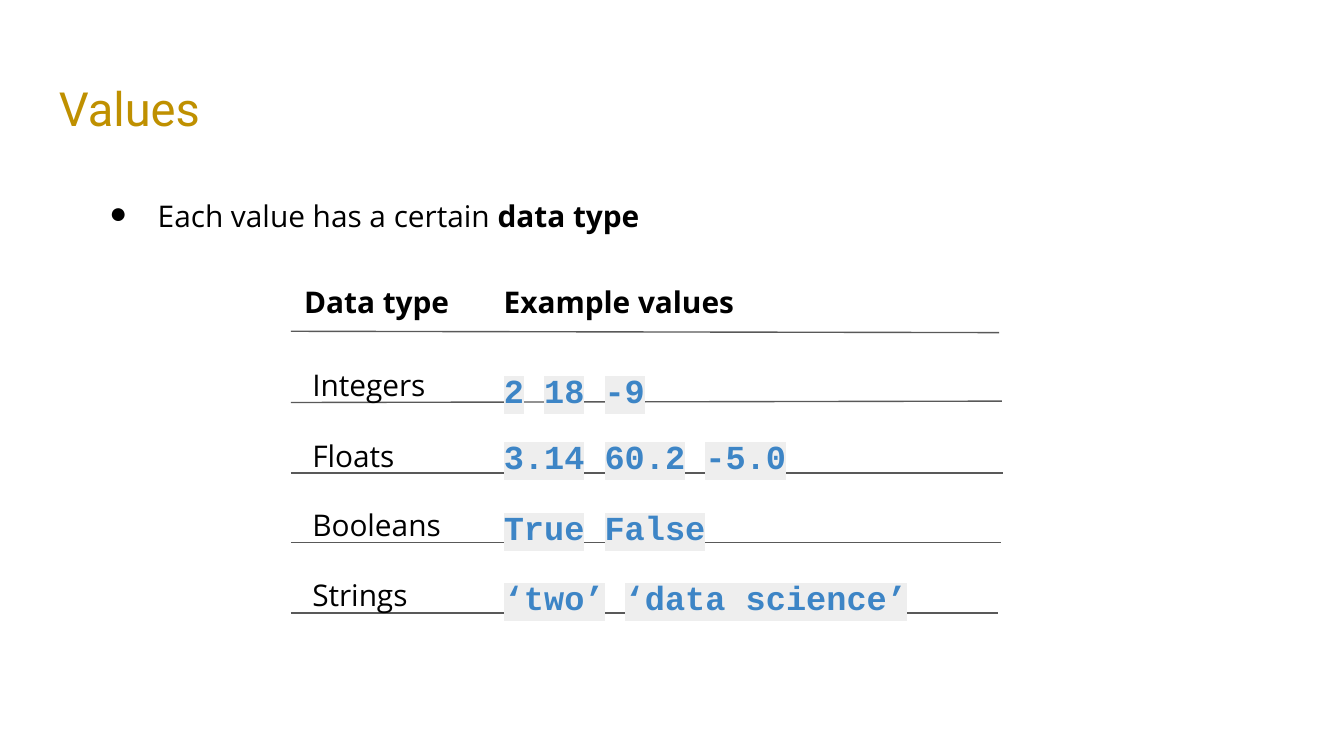
from dataclasses import dataclass

import pptx
import pptx.dml.color
import pptx.enum.shapes
import pptx.enum.text
import pptx.oxml
import pptx.oxml.ns
import pptx.util
from lxml import etree

PX = 4572  # EMU per px, 200 px to the inch
COLORS = {
    "title": "BF9000",
    "text": "000000",
    "code": "3D85C6",
    "highlight": "EEEEEE",
    "rule": "595959",
}


@dataclass(frozen=True)
class Style:
    font: str
    size: float
    color: str
    bold: bool = False
    highlight: bool = False


@dataclass(frozen=True)
class Box:
    left: int
    top: int
    width: int
    height: int


@dataclass(frozen=True)
class DataType:
    name: str
    name_top: int
    examples: tuple[str, ...]
    examples_top: int
    examples_width: int


@dataclass(frozen=True)
class Rule:
    start_y: int
    end_x: int
    end_y: int


TITLE = Style("Roboto", 25.2, "title")
BODY = Style("Open Sans", 16, "text")
BOLD = Style("Open Sans", 16, "text", bold=True)
CODE = Style("Courier New", 18, "code", bold=True, highlight=True)
CODE_GAP = Style("Courier New", 18, "code", bold=True)

TABLE_LEFT, NAME_LEFT, EXAMPLES_LEFT = 433, 445, 730
HEADER_TOP, NAME_WIDTH, NAME_HEIGHT, EXAMPLES_HEIGHT = 376, 296, 94, 100

DATA_TYPES = [
    DataType("Integers", 499, ("2", "18", "-9"), 501, 296),
    DataType("Floats", 605, ("3.14", "60.2", "-5.0"), 599, 484),
    DataType("Booleans", 708, ("True", "False"), 705, 402),
    DataType("Strings", 812, ("‘two’", "‘data science’"), 809, 656),
]
RULES = [
    Rule(493, 1487, 495),
    Rule(599, 1491, 597),
    Rule(704, 1493, 704),
    Rule(807, 1490, 807),
    Rule(912, 1485, 912),
]


def rgb(name: str) -> pptx.dml.color.RGBColor:
    return pptx.dml.color.RGBColor.from_string(COLORS[name])


def add_run(paragraph, text: str, style: Style) -> None:
    run = paragraph.add_run()
    run.text = text
    font = run.font
    font.size = pptx.util.Pt(style.size)
    font.bold = style.bold
    font.color.rgb = rgb(style.color)
    font.name = style.font
    if style.highlight:
        # The highlight must follow the text fill
        properties = run._r.get_or_add_rPr()
        highlight = etree.Element(pptx.oxml.ns.qn("a:highlight"))
        color = etree.SubElement(highlight, pptx.oxml.ns.qn("a:srgbClr"))
        color.set("val", COLORS["highlight"])
        properties.find(pptx.oxml.ns.qn("a:solidFill")).addnext(highlight)


def add_text(slide, box: Box, runs: list[tuple[str, Style]], line_spacing: float = 1.5):
    shape = slide.shapes.add_textbox(
        box.left * PX, box.top * PX, box.width * PX, box.height * PX)
    frame = shape.text_frame
    frame.word_wrap = True
    frame.auto_size = pptx.enum.text.MSO_AUTO_SIZE.SHAPE_TO_FIT_TEXT
    frame.margin_left = frame.margin_right = 20 * PX
    frame.margin_top = frame.margin_bottom = 20 * PX
    paragraph = frame.paragraphs[0]
    paragraph.line_spacing = line_spacing
    for text, style in runs:
        add_run(paragraph, text, style)
    return shape


def add_bullet(paragraph, indent: int, hanging: int) -> None:
    properties = paragraph._p.get_or_add_pPr()
    properties.set("marL", str(indent * PX))
    properties.set("indent", str(-hanging * PX))
    color = etree.SubElement(properties, pptx.oxml.ns.qn("a:buClr"))
    etree.SubElement(color, pptx.oxml.ns.qn("a:srgbClr")).set("val", COLORS["text"])
    etree.SubElement(properties, pptx.oxml.ns.qn("a:buFont")).set("typeface", CODE.font)
    etree.SubElement(properties, pptx.oxml.ns.qn("a:buChar")).set("char", "●")


def add_rule(slide, rule: Rule) -> None:
    connector = slide.shapes.add_connector(
        pptx.enum.shapes.MSO_CONNECTOR.STRAIGHT,
        TABLE_LEFT * PX, rule.start_y * PX, rule.end_x * PX, rule.end_y * PX)
    connector.line.color.rgb = rgb("rule")
    connector.line.width = pptx.util.Pt(0.75)
    etree.SubElement(connector._element.spPr, pptx.oxml.ns.qn("a:effectLst"))


def add_data_type(slide, row: DataType) -> None:
    add_text(slide, Box(NAME_LEFT, row.name_top, NAME_WIDTH, NAME_HEIGHT),
             [(row.name, BODY)])
    runs = []
    for example in row.examples:
        if runs:
            runs.append((" ", CODE_GAP))
        runs.append((example, CODE))
    add_text(slide, Box(EXAMPLES_LEFT, row.examples_top, row.examples_width,
                        EXAMPLES_HEIGHT), runs)


def main() -> None:
    presentation = pptx.Presentation()
    presentation.slide_width = 2000 * PX
    presentation.slide_height = 1125 * PX
    slide = presentation.slides.add_slide(presentation.slide_layouts[6])

    # Title
    title = add_text(slide, Box(68, 97, 1864, 126), [("Values", TITLE)], 1.0)
    title.text_frame.auto_size = pptx.enum.text.MSO_AUTO_SIZE.NONE
    title.text_frame.vertical_anchor = pptx.enum.text.MSO_ANCHOR.MIDDLE

    # Bullet
    body = add_text(slide, Box(115, 248, 1770, 176),
                    [("Each value has a certain ", BODY), ("data type", BOLD)])
    add_bullet(body.text_frame.paragraphs[0], 100, 72)

    # Row rules
    for rule in RULES:
        add_rule(slide, rule)

    # Column headings
    for heading, left, width in (("Data type", TABLE_LEFT, NAME_WIDTH),
                                 ("Example values", EXAMPLES_LEFT, 426)):
        add_text(slide, Box(left, HEADER_TOP, width, NAME_HEIGHT), [(heading, BOLD)])

    # Data types with their example values
    for row in DATA_TYPES:
        add_data_type(slide, row)

    presentation.save("out.pptx")


if __name__ == "__main__":
    main()
